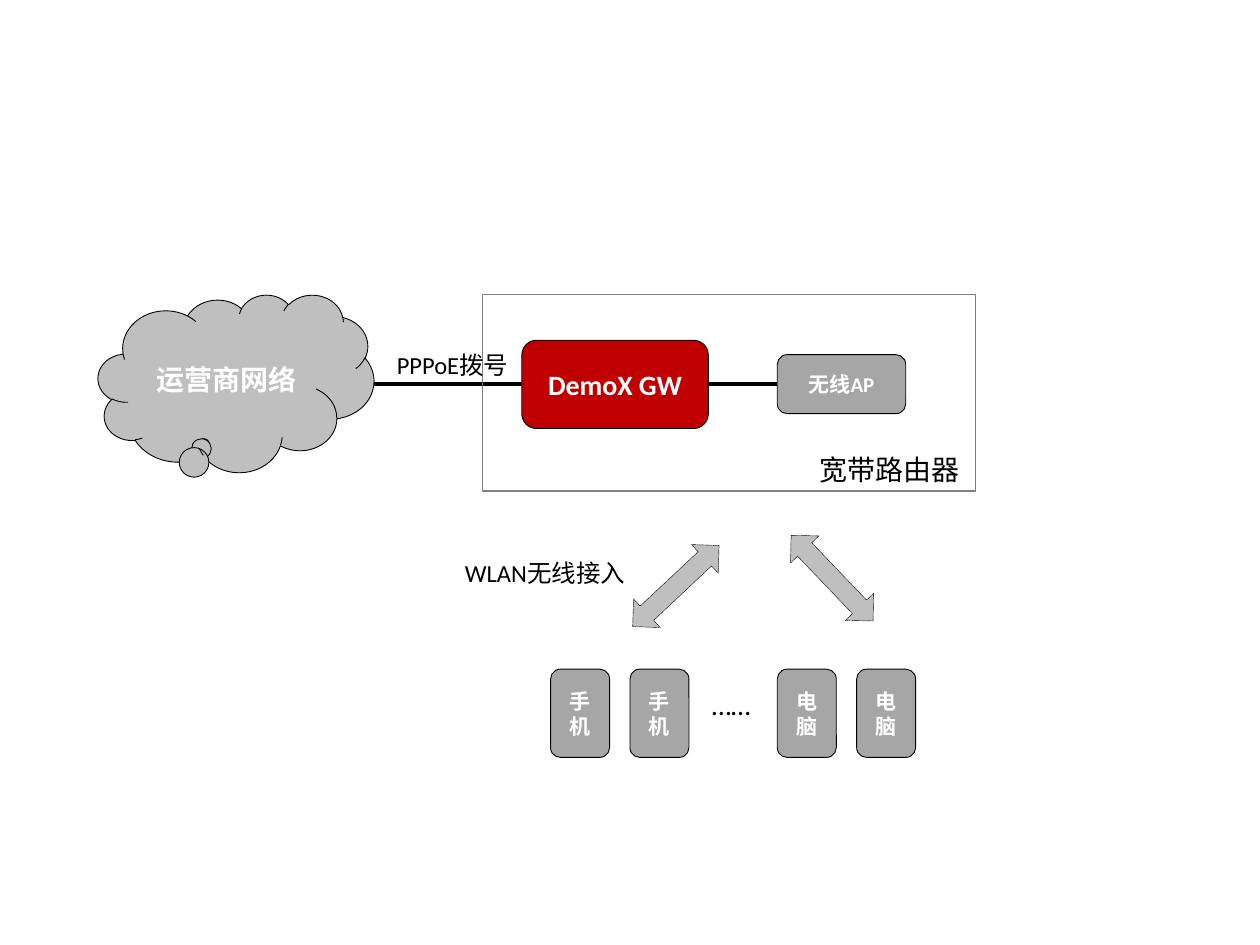
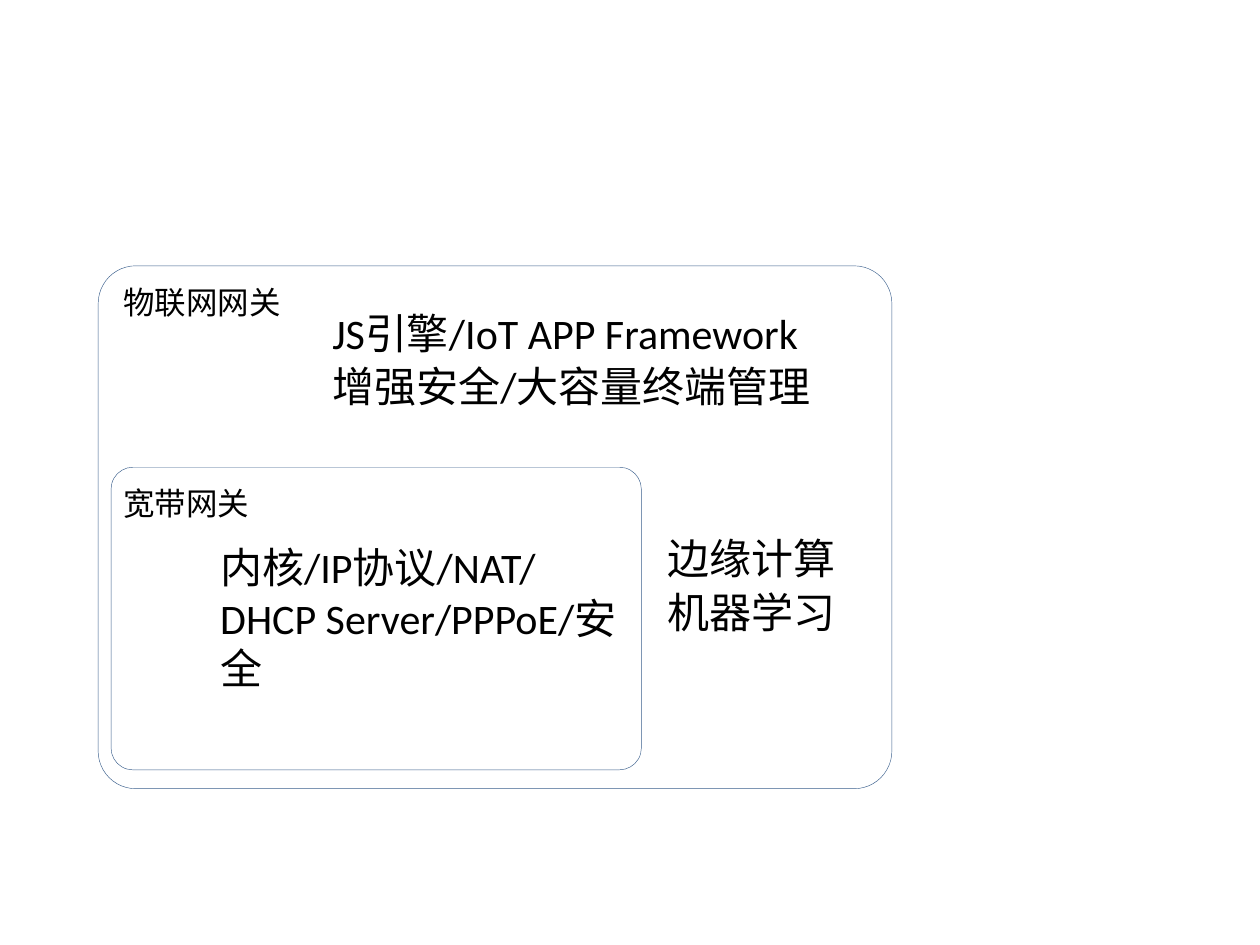
from lxml.etree import SubElement
from pptx import Presentation
from pptx.dml.color import RGBColor
from pptx.enum.dml import MSO_LINE
from pptx.enum.shapes import MSO_CONNECTOR, MSO_SHAPE
from pptx.enum.text import MSO_ANCHOR, MSO_AUTO_SIZE, PP_ALIGN
from pptx.oxml.ns import qn
from pptx.util import Cm, Pt

BLACK, WHITE, RED = "000000", "FFFFFF", "C00000"
LIGHT_GREY, MID_GREY, DARK_GREY = "BFBFBF", "A6A6A6", "808080"
FRAME_BLUE = "3A5F8C"
LATIN, CHINESE = "Calibri", "Noto Sans CJK SC"


def color(value):
    return RGBColor.from_string(value)


class Diagram:
    def __init__(self):
        self.deck = Presentation()
        self.deck.slide_width, self.deck.slide_height = Cm(25.4), Cm(19.05)
        self.slide = None

    def new_slide(self):
        self.slide = self.deck.slides.add_slide(self.deck.slide_layouts[6])

    def set_words(self, frame, words, size, ink, font=LATIN, bold=False, align=PP_ALIGN.LEFT):
        frame.text = words
        frame.word_wrap = True
        for paragraph in frame.paragraphs:
            paragraph.alignment = align
            for run in paragraph.runs:
                run.font.name, run.font.size, run.font.bold = font, Pt(size), bold
                run.font.color.rgb = color(ink)

    def outline(self, preset, place, edge=BLACK, weight=0.5, fill=None, adjustments=()):
        shape = self.slide.shapes.add_shape(preset, *map(Cm, place))
        shape.shadow.inherit = False
        if fill:
            shape.fill.solid()
            shape.fill.fore_color.rgb = color(fill)
        else:
            shape.fill.background()
        shape.line.color.rgb = color(edge)
        shape.line.width = Pt(weight)
        for index, value in enumerate(adjustments):
            shape.adjustments[index] = value
        return shape

    def node(self, words, place, fill=MID_GREY, size=12,
             preset=MSO_SHAPE.ROUNDED_RECTANGLE, adjustments=()):
        shape = self.outline(preset, place, fill=fill, adjustments=adjustments)
        self.set_words(shape.text_frame, words, size, WHITE, bold=True, align=PP_ALIGN.CENTER)
        shape.text_frame.vertical_anchor = MSO_ANCHOR.MIDDLE

    def frame(self, place):
        self.outline(MSO_SHAPE.ROUNDED_RECTANGLE, place, FRAME_BLUE, 0.25, adjustments=(0.072,))

    def radio_arrow(self, left, top, angle):
        arrow = self.outline(MSO_SHAPE.UP_DOWN_ARROW, (left, top, 0.79, 2.39),
                             weight=0.25, fill=LIGHT_GREY)
        arrow.line.dash_style = MSO_LINE.SQUARE_DOT
        arrow.rotation = angle

    def cable(self, start, end, height):
        cable = self.slide.shapes.add_connector(
            MSO_CONNECTOR.STRAIGHT, Cm(start), Cm(height), Cm(end), Cm(height))
        cable.line.color.rgb = color(BLACK)
        cable.line.width = Pt(2.25)
        SubElement(cable._element.spPr, qn("a:effectLst"))

    def caption(self, words, place, size):
        box = self.slide.shapes.add_textbox(*map(Cm, place))
        self.set_words(box.text_frame, words, size, BLACK)
        box.text_frame.auto_size = MSO_AUTO_SIZE.SHAPE_TO_FIT_TEXT

    def heading(self, words, left, top):
        box = self.slide.shapes.add_textbox(Cm(left), Cm(top), Cm(4.5), Cm(1.45))
        self.set_words(box.text_frame, words, 18, BLACK, font=CHINESE)
        box.text_frame.vertical_anchor = MSO_ANCHOR.MIDDLE

    def caption_lines(self, lines, left, top, width):
        for row, words in enumerate(lines):
            self.caption(words, (left, top + row * 1.08, width, 1.27), 24)


def router_slide(diagram):
    diagram.new_slide()
    diagram.node("运营商网络", (1.98, 5.94, 5.56, 3.58), LIGHT_GREY, 16,
                 MSO_SHAPE.CLOUD_CALLOUT, (-0.116, 0.339))
    diagram.node("DemoX GW", (10.52, 6.86, 3.76, 1.78), RED, 16)
    diagram.node("无线AP", (15.67, 7.15, 2.59, 1.19))
    for start, end in ((15.67, 14.28), (10.52, 7.54)):
        diagram.cable(start, end, 7.75)
    diagram.outline(MSO_SHAPE.RECTANGLE, (9.73, 5.94, 9.93, 3.96), DARK_GREY, 0.75)
    diagram.caption("宽带路由器", (16.28, 8.99, 3.35, 0.94), 16)

    for device, first_left in (("手机", 11.1), ("电脑", 15.67)):
        for column in range(2):
            diagram.node(device, (first_left + column * 1.6, 13.49, 1.19, 1.78))
    diagram.caption("……", (14.1, 13.74, 1.32, 0.94), 16)

    diagram.radio_arrow(13.23, 10.62, 46.8)
    diagram.radio_arrow(16.38, 10.46, 316.3)
    diagram.caption("WLAN无线接入", (9.12, 11.13, 3.78, 0.86), 14)
    diagram.caption("PPPoE拨号", (7.75, 6.93, 2.79, 0.86), 14)


def gateway_slide(diagram):
    diagram.new_slide()
    diagram.frame((2.24, 9.42, 10.69, 6.1))
    diagram.heading("宽带网关", 2.24, 9.42)
    diagram.caption("内核/IP协议/NAT/DHCP Server/PPPoE/安全", (4.19, 10.8, 8.71, 3.33), 24)
    diagram.frame((1.98, 5.36, 16, 10.54))
    diagram.heading("物联网网关", 2.24, 5.36)
    diagram.caption_lines(("JS引擎/IoT APP Framework", "增强安全/大容量终端管理"),
                          6.45, 6.07, 12.37)
    diagram.caption_lines(("边缘计算", "机器学习"), 13.21, 10.62, 4.78)


diagram = Diagram()
router_slide(diagram)
gateway_slide(diagram)
diagram.deck.save("out.pptx")
